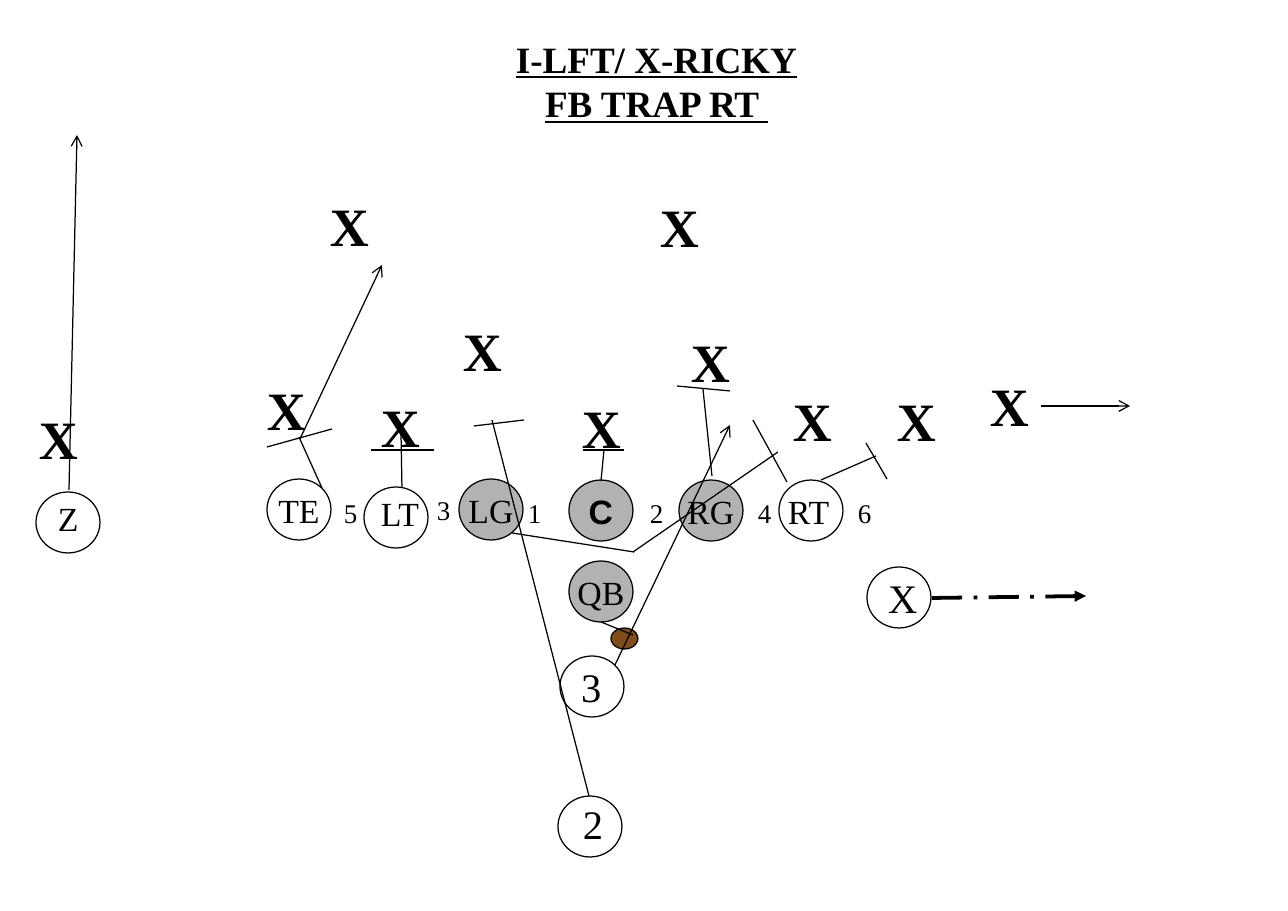
"""Build a football play diagram slide."""
from collections import namedtuple

from lxml import etree
from pptx import Presentation
from pptx.dml.color import RGBColor
from pptx.enum.dml import MSO_LINE
from pptx.enum.shapes import MSO_CONNECTOR, MSO_SHAPE
from pptx.enum.text import MSO_ANCHOR, PP_ALIGN
from pptx.oxml.ns import qn
from pptx.util import Emu, Pt

OVAL = MSO_SHAPE.OVAL
STRAIGHT = MSO_CONNECTOR.STRAIGHT
DASH_DOT = MSO_LINE.LONG_DASH_DOT
MIDDLE, TOP = MSO_ANCHOR.MIDDLE, MSO_ANCHOR.TOP
LEFT, CENTER = PP_ALIGN.LEFT, PP_ALIGN.CENTER

PIXELS_PER_INCH = 121.5
COLORS = {"ink": "000000", "open": "FFFFFF", "shaded": "B2B2B2", "ball": "804C19"}
SERIF, SANS = "Times New Roman", "Arial"
THIN, THICK = 0.74, 2.24

Box = namedtuple("Box", "left top width height")


def px(value):
    """Turn pixels into EMU."""
    return Emu(round(value * 914400 / PIXELS_PER_INCH))


def color(name):
    """Look up a named colour."""
    return RGBColor.from_string(COLORS[name])


def within(box, left, top, width, height):
    """Return a box placed relative to the corner of another."""
    return Box(box.left + left, box.top + top, width, height)


def write(shape, lines, size, align=LEFT, wrap=False, bold=False,
          underline=False, font=SERIF, anchor=TOP):
    """Fill a shape with evenly styled paragraphs."""
    frame = shape.text_frame
    frame.word_wrap = wrap
    frame.vertical_anchor = anchor
    frame.text = "\n".join(lines)
    for para in frame.paragraphs:
        para.alignment = align
        para.font.name = font
        para.font.size = Pt(size)
        para.font.bold = bold
        para.font.underline = underline
        para.font.color.rgb = color("ink")


def add_label(page, box, lines, size, **style):
    """Add a text box."""
    write(page.shapes.add_textbox(*map(px, box)), lines, size, **style)


def add_oval(page, box, fill):
    """Add an outlined oval and return it."""
    oval = page.shapes.add_shape(OVAL, *map(px, box))
    oval.shadow.inherit = False
    oval.fill.solid()
    oval.fill.fore_color.rgb = color(fill)
    oval.line.color.rgb = color("ink")
    oval.line.width = Pt(THIN)
    return oval


def add_line(page, box, points, head=None, width=THIN, dash=None):
    """Add a straight line with an optional arrowhead and dash."""
    x1, y1, x2, y2 = points
    line = page.shapes.add_connector(
        STRAIGHT, px(box.left + x1), px(box.top + y1),
        px(box.left + x2), px(box.top + y2))
    line.line.color.rgb = color("ink")
    line.line.width = Pt(width)
    if dash:
        line.line.dash_style = dash
    properties = line.element.spPr
    if head:
        etree.SubElement(properties.find(qn("a:ln")), qn("a:tailEnd"), type=head)
    etree.SubElement(properties, qn("a:effectLst"))


def add_title(page, box):
    """Add the name of the play."""
    add_label(page, box, ["I-LFT/ X-RICKY", "FB TRAP RT "], 22,
              align=CENTER, wrap=True, bold=True, underline=True)


def add_offense(page, box):
    """Add the offensive players, the gap numbers and the ball."""
    centered_players = [
        ("C", 533, 2, "shaded"), ("RG", 643, 2, "shaded"),
        ("LG", 423, 1, "shaded"), ("QB", 533, 83, "shaded"),
        ("TE", 231, 1, "open"),
    ]
    for name, left, top, fill in centered_players:
        oval = add_oval(page, within(box, left, top, 64, 61), fill)
        center = name == "C"
        write(oval, [name], 20, align=CENTER, bold=center,
              font=SANS if center else SERIF, anchor=MIDDLE)

    for name, left, top in [("X", 831, 89), ("3", 524, 178)]:
        oval = add_oval(page, within(box, left, top, 64, 61), "open")
        write(oval, [name], 24, wrap=True, anchor=MIDDLE)

    labelled_players = [
        ("2", 522, 318, 13, -3, 44, 24), ("LT", 328, 9, 5, 0, 66, 20),
        ("Z", 0, 14, 10, 0, 45, 20), ("RT", 743, 2, -3, 5, 67, 20),
    ]
    for name, left, top, shift, drop, width, size in labelled_players:
        add_oval(page, within(box, left, top, 64, 61), "open")
        add_label(page, within(box, left + shift, top + drop, width, 53),
                  [name], size)

    gaps = [("5", 296, 13), ("3", 389, 10), ("1", 480, 13),
            ("2", 602, 13), ("4", 710, 13), ("6", 810, 13)]
    for number, left, top in gaps:
        add_label(page, within(box, left, top, 41, 52), [number], 16)

    add_oval(page, within(box, 575, 150, 27, 21), "ball")


def add_defense(page, box):
    """Add an X for each defender."""
    defenders = [
        (0, 213), (228, 184), (342, 201), (424, 125), (543, 202), (652, 135),
        (754, 195), (858, 195), (951, 180), (291, 0), (621, 1),
    ]
    for left, top in defenders:
        add_label(page, within(box, left, top, 63, 78), ["X"], 32, bold=True)


def add_assignments(page, box):
    """Add the blocks, routes and motion."""
    blocks = [
        (532, 346, 535, 315), (514, 315, 555, 315),
        (709, 317, 564, 417), (565, 417, 443, 398), (718, 347, 684, 285),
        (807, 321, 752, 345), (797, 308, 818, 344),
        (532, 487, 564, 500),
        (643, 341, 634, 254), (608, 251, 661, 256),
        (333, 352, 332, 298), (302, 315, 365, 315),
        (520, 661, 423, 285), (405, 291, 455, 285),
        (253, 353, 230, 302), (263, 294, 198, 312),
    ]
    routes = [
        (0, 355, 8, 0), (546, 530, 661, 290),
        (231, 304, 313, 130), (972, 271, 1061, 271),
    ]
    motion = (863, 463, 1017, 461)
    for points in blocks:
        add_line(page, box, points)
    for points in routes:
        add_line(page, box, points, head="arrow")
    add_line(page, box, motion, head="triangle", width=THICK, dash=DASH_DOT)


def main():
    """Build and save the deck."""
    deck = Presentation()
    deck.slide_width, deck.slide_height = px(1288), px(911)
    page = deck.slides.add_slide(deck.slide_layouts[6])
    add_title(page, Box(365, 30, 583, 146))
    add_offense(page, Box(36, 478, 896, 378))
    add_defense(page, Box(27, 187, 1014, 291))
    add_assignments(page, Box(69, 135, 1061, 661))
    deck.save("out.pptx")


main()
